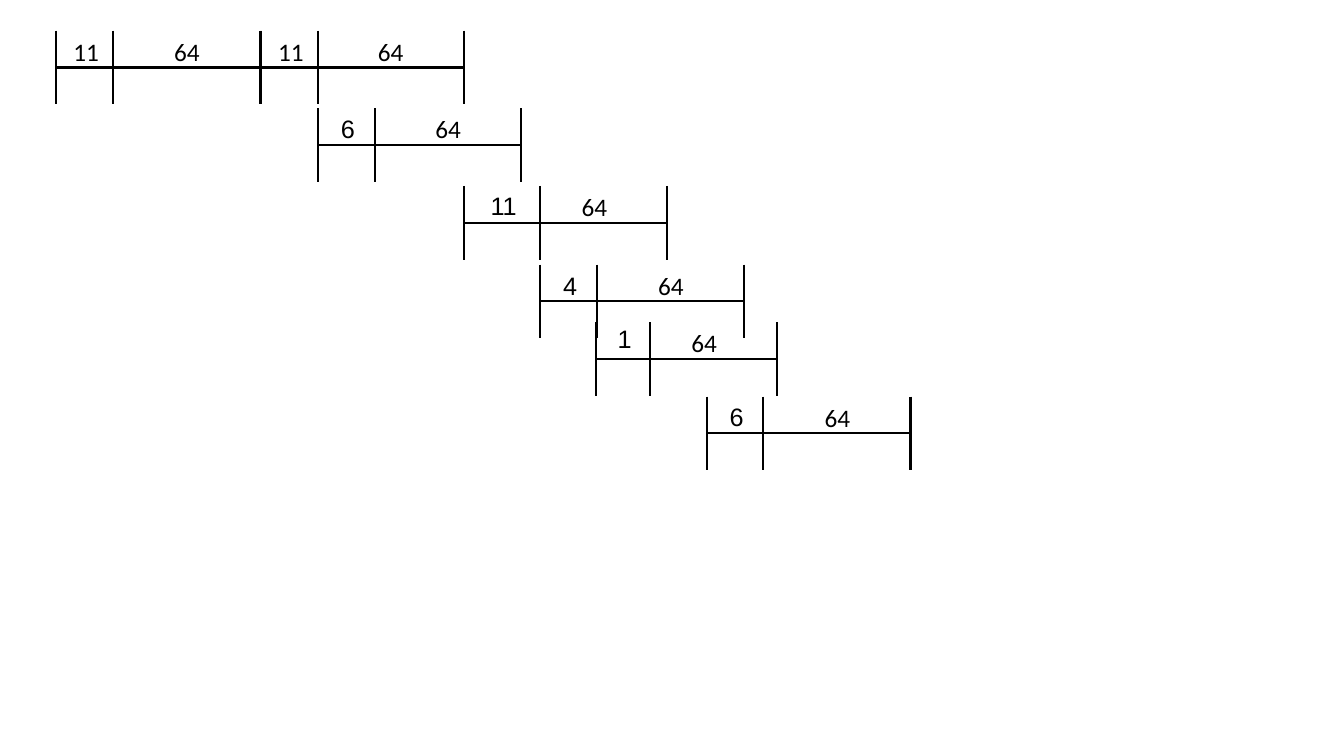
from lxml import etree
from pptx import Presentation
from pptx import util as u
from pptx.dml.color import RGBColor
from pptx.enum import shapes, text
from pptx.oxml import ns

INK = "000000"

presentation = Presentation()
presentation.slide_width = u.Inches(13.33)
presentation.slide_height = u.Inches(7.5)
column = presentation.slide_width / 1333
row = presentation.slide_height / 750
slide = presentation.slides.add_slide(presentation.slide_layouts[6])


def color(value):
    return RGBColor.from_string(value)


def add_line(x1, y1, x2, y2):
    line = slide.shapes.add_connector(
        shapes.MSO_CONNECTOR.STRAIGHT,
        round(x1 * column), round(y1 * row), round(x2 * column), round(y2 * row))
    line.line.color.rgb = color(INK)
    line.line.width = u.Pt(1.5)
    etree.SubElement(line._element.spPr, ns.qn("a:effectLst"))


half_tick = 36.5
label_width, label_height = 53, 40
label_gap = 3
second_label_offset = 99

# start, split, end, axis height, first value, its font, its lift above the axis
segments = [
    (56, 112, 258, 67, "11", "Calibri", 36),
    (259, 315, 460, 67, "11", "Calibri", 36),
    (315, 372, 517, 144, "6", "Arial", 36),
    (460, 536, 662, 221, "11", "Arial", 37),
    (536, 592, 738, 299, "4", "Arial", 36),
    (701, 757, 903, 430, "6", "Arial", 37),
    (591, 645, 771, 356, "1", "Arial", 40),
]

for start, split, end, axis, value, font_name, lift in segments:
    add_line(start, axis, end, axis)
    for tick in (start, split, end):
        add_line(tick, axis - half_tick, tick, axis + half_tick)

    labels = [
        (start + label_gap, split - start - label_gap, lift, value, font_name),
        (end - second_label_offset, label_width, 36, "64", "Calibri"),
    ]
    for left, width, rise, words, face in labels:
        label = slide.shapes.add_textbox(
            round(left * column), round((axis - rise) * row),
            round(width * column), round(label_height * row))
        frame = label.text_frame
        frame.word_wrap = True
        frame.auto_size = text.MSO_AUTO_SIZE.SHAPE_TO_FIT_TEXT
        paragraph = frame.paragraphs[0]
        paragraph.alignment = text.PP_ALIGN.CENTER
        run = paragraph.add_run()
        run.text = words
        run.font.name = face
        run.font.size = u.Pt(18)
        run.font.color.rgb = color(INK)

presentation.save("out.pptx")
